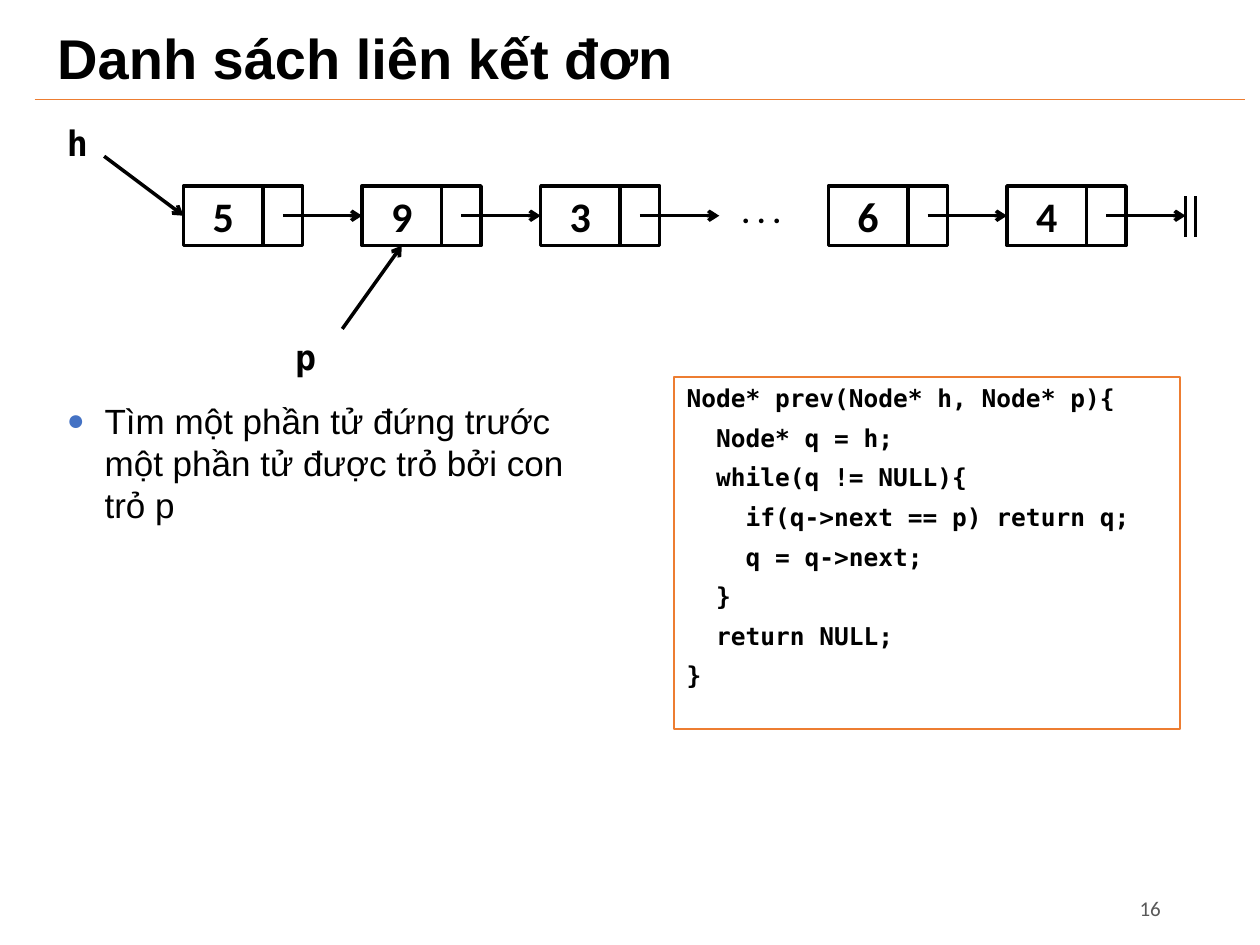
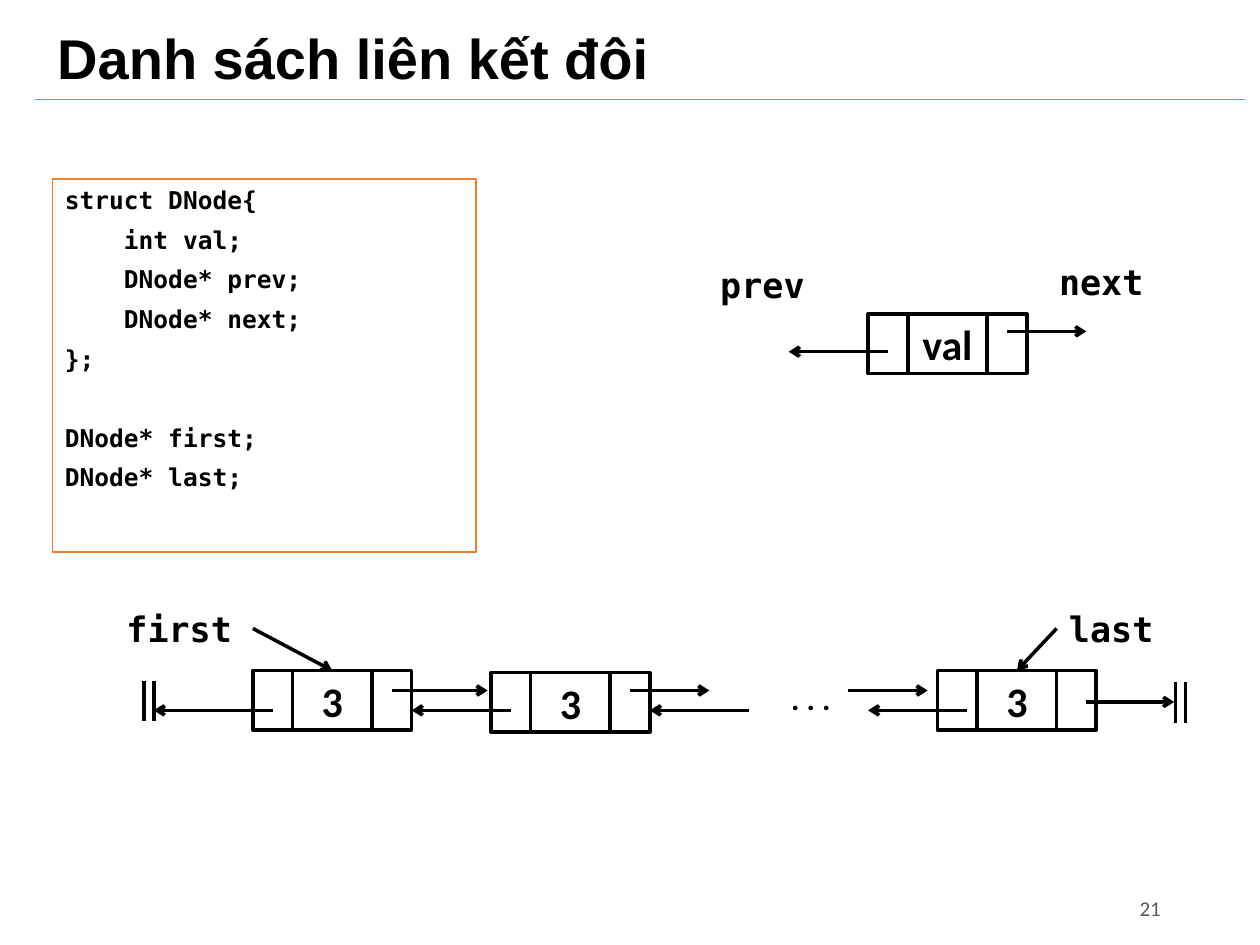
"""Builds two slides on singly and doubly linked lists."""

from typing import NamedTuple

from lxml.etree import SubElement
from pptx import Presentation
from pptx.dml.color import RGBColor
from pptx.enum.shapes import MSO_CONNECTOR, MSO_SHAPE
from pptx.enum.text import MSO_ANCHOR, PP_ALIGN
from pptx.oxml.ns import qn
from pptx.util import Cm, Pt

BLACK, GRAY, ORANGE, BLUE = "000000", "595959", "ED7D31", "4472C4"
SANS, BODY, MONO = "Arial", "Calibri", "DejaVu Sans Mono"
VALUE_WIDTH, POINTER_WIDTH, NODE_HEIGHT = 1.6, 0.8, 1.2
BAR_GAP, BAR_HEIGHT = 0.2, 0.82


class Box(NamedTuple):
    left: float
    top: float
    width: float
    height: float


class Style(NamedTuple):
    font: str
    size: float
    bold: bool = True
    color: str = BLACK
    align: PP_ALIGN = PP_ALIGN.LEFT
    anchor: MSO_ANCHOR = MSO_ANCHOR.TOP
    space_before: float = 0


class Node(NamedTuple):
    left: float
    top: float
    value: str
    double: bool = False


class Arrow(NamedTuple):
    x1: float
    y1: float
    x2: float
    y2: float


class Label(NamedTuple):
    text: str
    box: Box
    style: Style


class Null(NamedTuple):
    left: float
    top: float


TITLE = Style(SANS, 32, anchor=MSO_ANCHOR.MIDDLE)
NUMBER = Style(BODY, 12, False, GRAY, PP_ALIGN.RIGHT, MSO_ANCHOR.MIDDLE)
VALUE = Style(BODY, 24, align=PP_ALIGN.CENTER, anchor=MSO_ANCHOR.MIDDLE)
DOTS = Style(BODY, 18)
NAME = Style(MONO, 20)
CODE = Style(MONO, 14, space_before=5.8)
BULLET = Style(SANS, 20, False)

PREV_CODE = """Node* prev(Node* h, Node* p){
  Node* q = h;
  while(q != NULL){
    if(q->next == p) return q;
    q = q->next;
  }
  return NULL;
}"""

DNODE_CODE = """struct DNode{
    int val;
    DNode* prev;
    DNode* next;
};

DNode* first;
DNode* last;"""


def rgb(color: str) -> RGBColor:
    """Turn a hex string into a colour."""
    return RGBColor.from_string(color)


def write(shape, text: str, style: Style) -> None:
    """Put styled text into a shape."""
    frame = shape.text_frame
    frame.text = text
    frame.word_wrap = True
    frame.vertical_anchor = style.anchor
    for index, paragraph in enumerate(frame.paragraphs):
        paragraph.alignment = style.align
        if index and style.space_before:
            paragraph.space_before = Pt(style.space_before)
        for run in paragraph.runs:
            run.font.name = style.font
            run.font.size = Pt(style.size)
            run.font.bold = style.bold
            run.font.color.rgb = rgb(style.color)
        if not paragraph.runs:
            end = SubElement(paragraph._p, qn("a:endParaRPr"), sz=str(style.size * 100))
            SubElement(end, qn("a:latin"), typeface=style.font)


def place(box: Box) -> list[Cm]:
    """Convert a box to lengths."""
    return [Cm(length) for length in box]


def add_text(slide, text: str, box: Box, style: Style):
    """Add a text box."""
    shape = slide.shapes.add_textbox(*place(box))
    write(shape, text, style)
    return shape


def add_frame(slide, box: Box, color: str = BLACK, weight: float = 2):
    """Add an outlined rectangle without fill."""
    shape = slide.shapes.add_shape(MSO_SHAPE.RECTANGLE, *place(box))
    shape.shadow.inherit = False
    shape.fill.background()
    shape.line.color.rgb = rgb(color)
    shape.line.width = Pt(weight)
    return shape


def add_line(slide, ends: Arrow, color: str = BLACK, weight: float = 2, head: bool = False) -> None:
    """Add a straight line, with an arrowhead if wanted."""
    line = slide.shapes.add_connector(MSO_CONNECTOR.STRAIGHT, *[Cm(end) for end in ends])
    line.line.color.rgb = rgb(color)
    line.line.width = Pt(weight)
    if head:
        SubElement(line.line._get_or_add_ln(), qn("a:tailEnd"), type="arrow")
    SubElement(line._element.spPr, qn("a:effectLst"))


def add_node(slide, node: Node) -> None:
    """Add a list node with one or two pointer cells."""
    left = node.left
    if node.double:
        add_frame(slide, Box(left, node.top, POINTER_WIDTH, NODE_HEIGHT))
        left += POINTER_WIDTH
    value = add_frame(slide, Box(left, node.top, VALUE_WIDTH, NODE_HEIGHT))
    write(value, node.value, VALUE)
    value.text_frame.margin_left = value.text_frame.margin_right = 0
    add_frame(slide, Box(left + VALUE_WIDTH, node.top, POINTER_WIDTH, NODE_HEIGHT))


def add_null(slide, null: Null) -> None:
    """Add the double bar that ends a list."""
    for x in (null.left, null.left + BAR_GAP):
        add_line(slide, Arrow(x, null.top, x, null.top + BAR_HEIGHT))


def add_diagram(slide, nodes: list[Node], arrows: list[Arrow], nulls: list[Null], labels: list[Label]) -> None:
    """Draw a linked list with its arrows, ends and labels."""
    for node in nodes:
        add_node(slide, node)
    for arrow in arrows:
        add_line(slide, arrow, head=True)
    for null in nulls:
        add_null(slide, null)
    for label in labels:
        add_text(slide, *label)


def add_code(slide, code: str, box: Box) -> None:
    """Add an orange frame with code."""
    write(add_frame(slide, box, ORANGE, 0.75), code, CODE)


def add_bullet(slide, text: str, box: Box) -> None:
    """Add a bulleted paragraph."""
    paragraph = add_text(slide, text, box, BULLET).text_frame.paragraphs[0]
    properties = paragraph._p.get_or_add_pPr()
    properties.set("marL", str(Cm(0.76)))
    properties.set("indent", str(Cm(-0.76)))
    color = SubElement(properties, qn("a:buClr"))
    SubElement(color, qn("a:srgbClr"), val=BLUE)
    SubElement(properties, qn("a:buSzPct"), val="85000")
    SubElement(properties, qn("a:buFont"), typeface=SANS)
    SubElement(properties, qn("a:buChar"), char="●")


def add_slide(presentation, title: str, number: int):
    """Add a slide with title, rule and page number."""
    slide = presentation.slides.add_slide(presentation.slide_layouts[5])
    shape = slide.shapes.title
    shape.left, shape.top, shape.width, shape.height = place(Box(0.9, 0.33, 24, 1.8))
    write(shape, title, TITLE)
    shape.text_frame.paragraphs[0].line_spacing = 0.9
    add_line(slide, Arrow(0.7, 2, 25.1, 2), ORANGE, 0.5)
    add_text(slide, str(number), Box(20.48, 17.8, 3.17, 1.01), NUMBER)
    return slide


def build_single_list(presentation) -> None:
    """Build the slide on the singly linked list."""
    slide = add_slide(presentation, "Danh sách liên kết đơn", 16)
    top, middle = 3.75, 4.35
    values = {3.7: "5", 7.3: "9", 10.9: "3", 16.7: "6", 20.3: "4"}
    nodes = [Node(left, top, value) for left, value in values.items()]
    arrows = [Arrow(left + 2, middle, left + 3.6, middle) for left in values]
    arrows += [Arrow(2.1, 3.15, 3.7, middle), Arrow(6.9, 6.63, 8.1, 4.95)]
    labels = [
        Label(". . .", Box(14.7, 3.75, 2.4, 1.03), DOTS),
        Label("h", Box(1.1, 2.33, 2.4, 1.11), NAME),
        Label("p", Box(5.7, 6.63, 1.2, 1.11), NAME),
    ]
    add_diagram(slide, nodes, arrows, [Null(23.9, 3.96)], labels)
    add_code(slide, PREV_CODE, Box(13.59, 7.6, 10.2, 7.1))
    add_bullet(
        slide,
        "Tìm một phần tử đứng trước một phần tử được trỏ bởi con trỏ p",
        Box(1.1, 7.93, 10.9, 7.62),
    )


def build_double_list(presentation) -> None:
    """Build the slide on the doubly linked list."""
    slide = add_slide(presentation, "Danh sách liên kết đôi", 21)
    next_y, prev_y = 13.92, 14.32
    nodes = [
        Node(5.1, 13.52, "3", True),
        Node(9.9, 13.56, "3", True),
        Node(18.9, 13.52, "3", True),
        Node(17.5, 6.33, "val", True),
    ]
    arrows = [
        Arrow(7.9, next_y, 9.83, next_y),
        Arrow(12.7, next_y, 14.3, next_y),
        Arrow(17.1, next_y, 18.7, next_y),
        Arrow(21.9, 14.15, 23.67, 14.15),
        Arrow(5.5, prev_y, 3.1, prev_y),
        Arrow(10.3, prev_y, 8.3, prev_y),
        Arrow(15.1, prev_y, 13.1, prev_y),
        Arrow(19.5, prev_y, 17.5, prev_y),
        Arrow(5.1, 12.67, 6.7, 13.52),
        Arrow(21.3, 12.67, 20.5, 13.52),
        Arrow(20.3, 6.68, 21.9, 6.68),
        Arrow(17.9, 7.09, 15.9, 7.09),
    ]
    names = {"first": (2.3, 12.12), "last": (21.3, 12.12), "prev": (14.27, 5.18), "next": (21.1, 5.13)}
    labels = [Label(name, Box(*corner, 2.8, 1.11), NAME) for name, corner in names.items()]
    labels.append(Label(". . .", Box(15.7, 13.56, 2.4, 1.03), DOTS))
    add_diagram(slide, nodes, arrows, [Null(2.9, 13.72), Null(23.7, 13.75)], labels)
    add_code(slide, DNODE_CODE, Box(1.06, 3.61, 8.54, 7.52))


def main() -> None:
    """Build and save the presentation."""
    presentation = Presentation()
    presentation.slide_width, presentation.slide_height = Cm(25.4), Cm(19.05)
    build_single_list(presentation)
    build_double_list(presentation)
    presentation.save("out.pptx")


if __name__ == "__main__":
    main()
